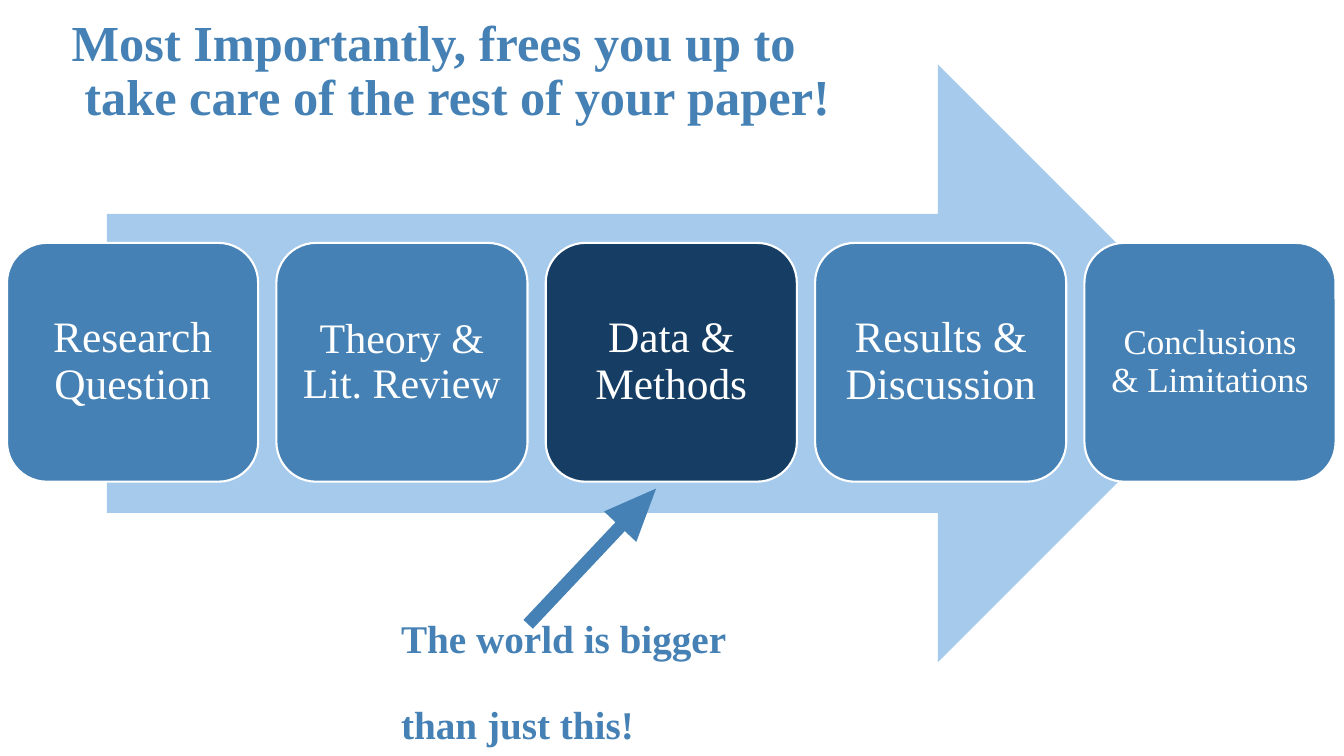
from pptx import Presentation
from pptx.dml.color import RGBColor
from pptx.enum.shapes import MSO_SHAPE as Preset
from pptx.enum.text import MSO_ANCHOR as Anchor, MSO_AUTO_SIZE as AutoSize, PP_ALIGN as Align
from pptx.util import Pt

FONT = "Times New Roman"
COLORS = {"steel": "4581B4", "pale": "A6CAEC", "navy": "163E64", "white": "FFFFFF"}

# Stage label, font size and fill
STAGES = [
    ("Research Question", 31, "steel"),
    ("Theory & Lit. Review", 30, "steel"),
    ("Data & Methods", 31, "navy"),
    ("Results & Discussion", 31, "steel"),
    ("Conclusions & Limitations", 25, "steel"),
]
STAGE_LEFT, STAGE_TOP, STAGE_WIDTH, STAGE_HEIGHT = 5, 173.5, 179.4, 170.6
STAGE_STEP = 192.4


def color(name):
    return RGBColor.from_string(COLORS[name])


def place(shape, left, top, width, height):
    shape.left, shape.top = Pt(left), Pt(top)
    shape.width, shape.height = Pt(width), Pt(height)


def add_run(paragraph, text, size, color_name, bold=False):
    run = paragraph.add_run()
    run.text = text
    run.font.name = FONT
    run.font.size = Pt(size)
    run.font.bold = bold
    run.font.color.rgb = color(color_name)


def prepare_frame(shape):
    frame = shape.text_frame
    frame.word_wrap = True
    frame.auto_size = AutoSize.NONE
    frame.vertical_anchor = Anchor.MIDDLE
    return frame


def format_paragraph(paragraph, align):
    paragraph.alignment = align
    paragraph.line_spacing = 0.9


def add_filled_shape(slide, preset, box, fill):
    shape = slide.shapes.add_shape(preset, *map(Pt, box))
    shape.shadow.inherit = False
    shape.fill.solid()
    shape.fill.fore_color.rgb = color(fill)
    shape.line.fill.background()
    return shape


def add_stage(slide, index, label, size, fill):
    box = (STAGE_LEFT + index * STAGE_STEP, STAGE_TOP, STAGE_WIDTH, STAGE_HEIGHT)
    shape = add_filled_shape(slide, Preset.ROUNDED_RECTANGLE, box, fill)
    shape.line.color.rgb = color("white")
    shape.line.width = Pt(1.5)
    frame = prepare_frame(shape)
    frame.margin_left = frame.margin_right = Pt(9)
    frame.margin_top = frame.margin_bottom = Pt(9)
    format_paragraph(frame.paragraphs[0], Align.CENTER)
    add_run(frame.paragraphs[0], label, size, "white")


def fill_title(slide):
    title = slide.shapes.title
    place(title, 44, 0, 840, 103)
    paragraph = prepare_frame(title).paragraphs[0]
    format_paragraph(paragraph, Align.LEFT)
    add_run(paragraph, "Most Importantly, frees you up to", 36, "steel", bold=True)
    paragraph.add_line_break()
    add_run(paragraph, " take care of the rest of your paper!", 36, "steel", bold=True)


def add_callout(slide):
    box = slide.shapes.add_textbox(Pt(279.4), Pt(437), Pt(252.7), Pt(103))
    frame = prepare_frame(box)
    first, second = frame.paragraphs[0], frame.add_paragraph()
    second.space_before = Pt(31.7)
    for paragraph, text in ((first, "The world is bigger"), (second, "than just this!")):
        format_paragraph(paragraph, Align.LEFT)
        add_run(paragraph, text, 28, "steel", bold=True)


def main():
    presentation = Presentation()
    presentation.slide_width, presentation.slide_height = Pt(960), Pt(540)
    slide = presentation.slides.add_slide(presentation.slide_layouts[5])

    # Heading
    fill_title(slide)

    # Process arrow with its stages
    add_filled_shape(slide, Preset.RIGHT_ARROW, (76.3, 46.1, 807.1, 427), "pale")
    for index, (label, size, fill) in enumerate(STAGES):
        add_stage(slide, index, label, size, fill)

    # Pointer to the highlighted stage, with its remark
    pointer = add_filled_shape(slide, Preset.RIGHT_ARROW, (356.4, 381.6, 133.2, 31.7), "steel")
    pointer.adjustments[0], pointer.adjustments[1] = 0.29, 1.18
    pointer.rotation = 313.3
    add_callout(slide)

    presentation.save("out.pptx")


if __name__ == "__main__":
    main()
